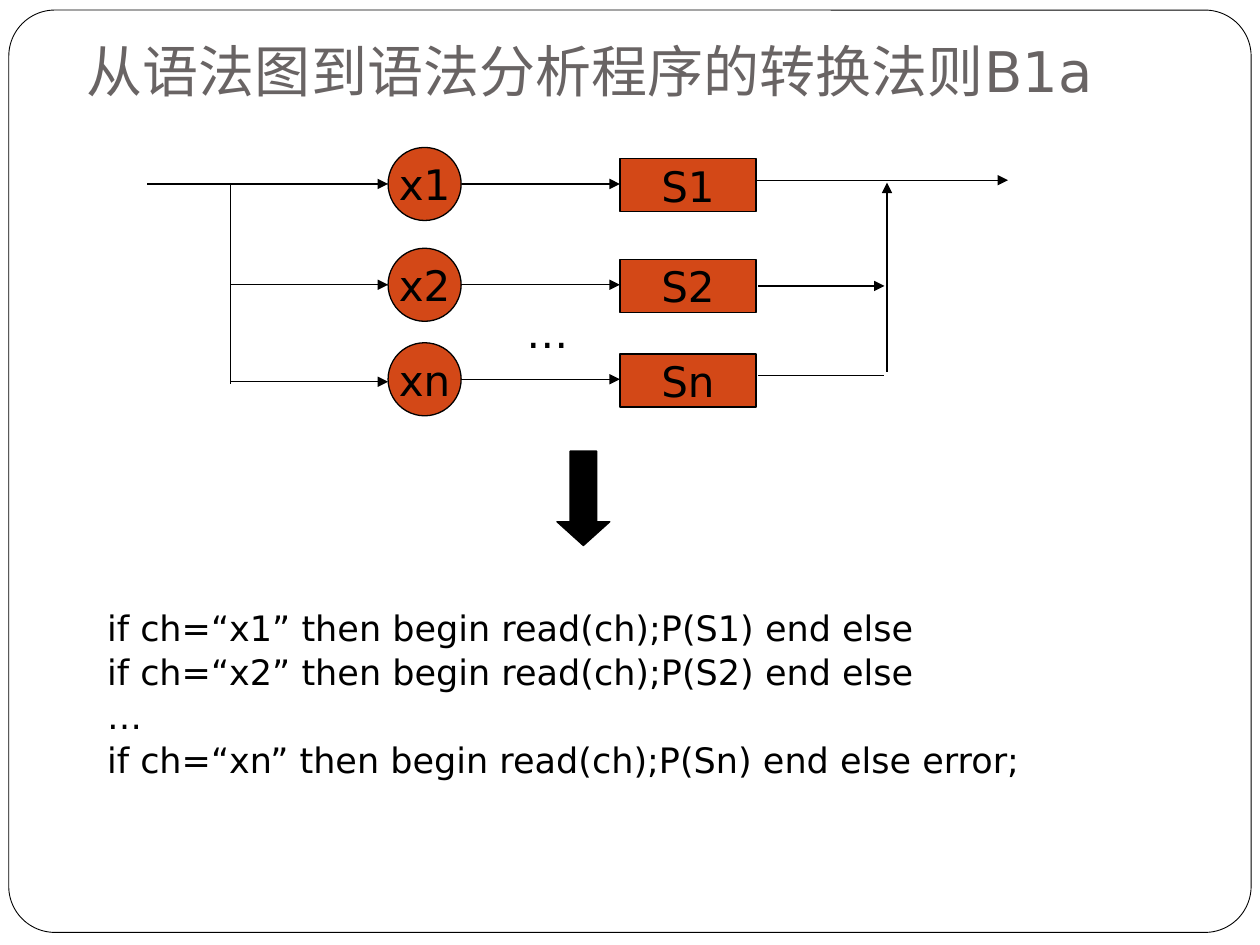
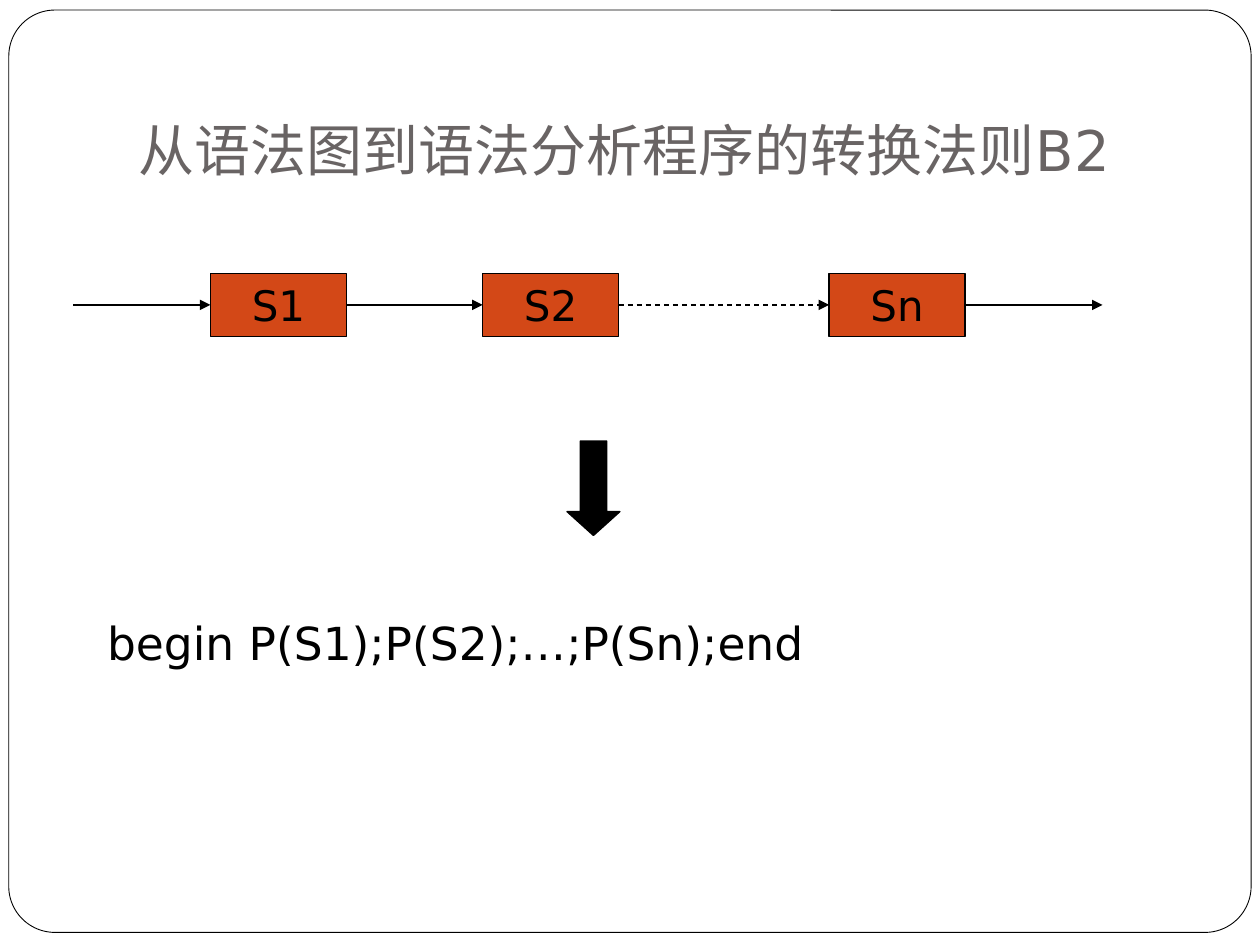
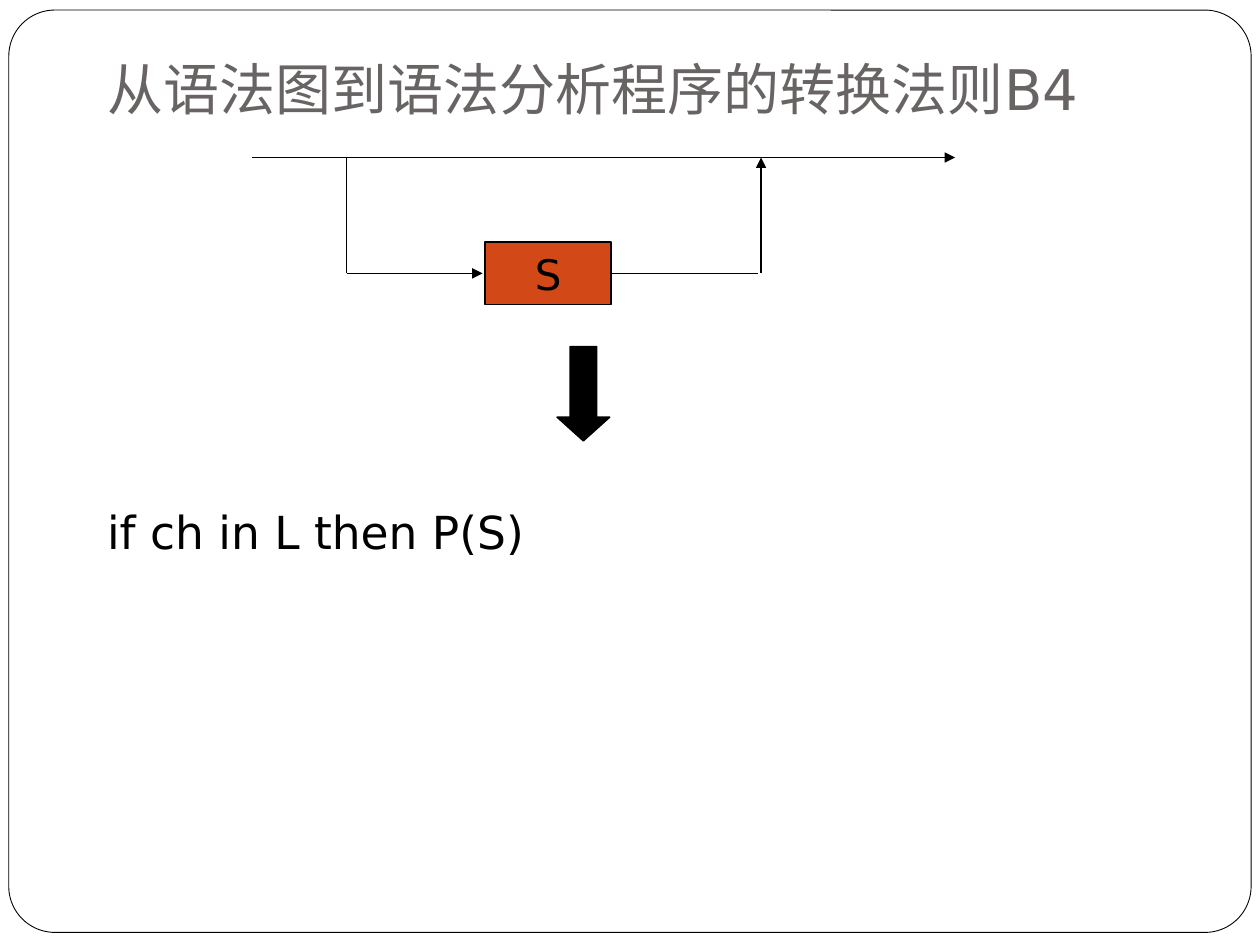
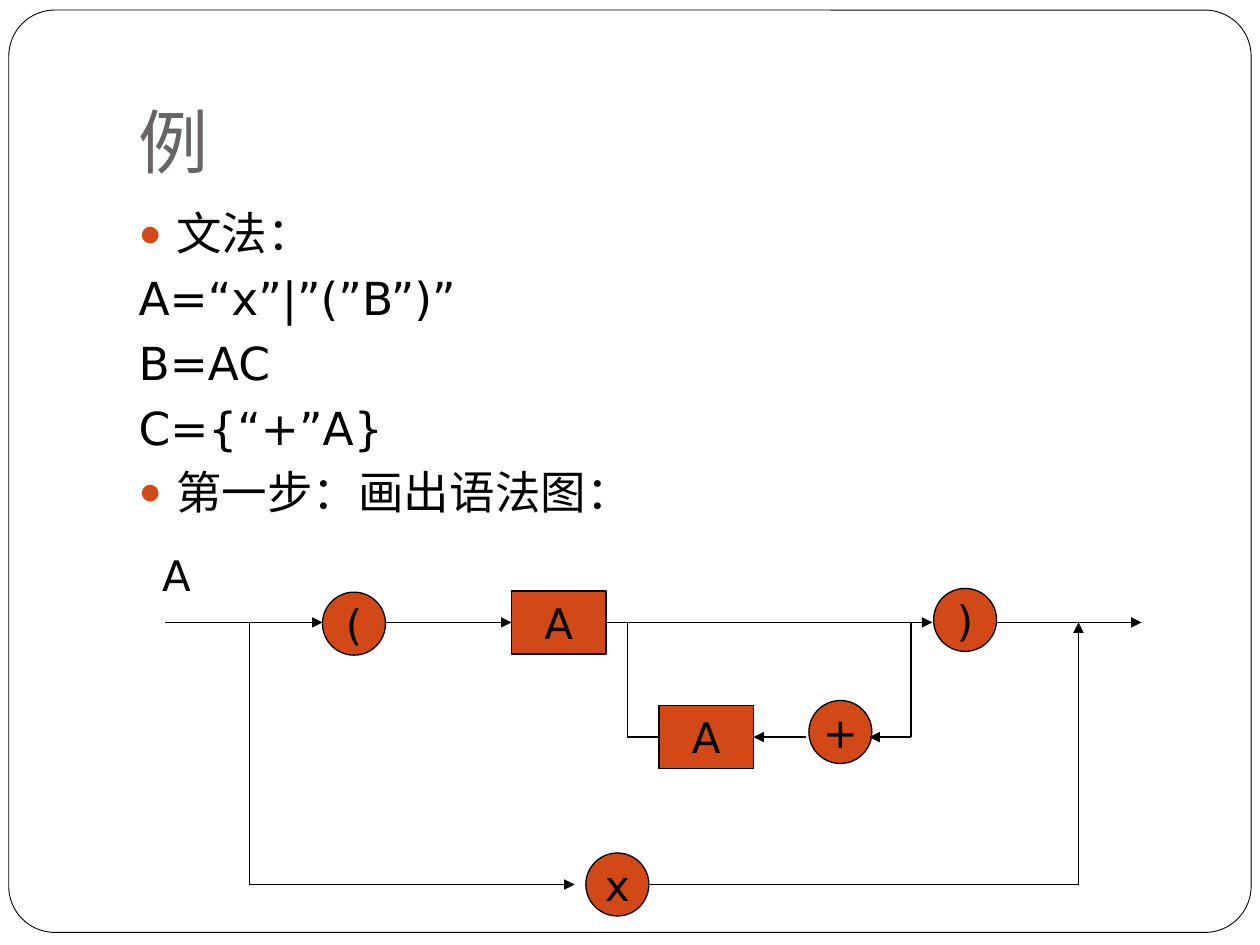
from lxml.etree import SubElement
from pptx import Presentation
from pptx.dml.color import RGBColor
from pptx.enum.dml import MSO_LINE
from pptx.enum.shapes import MSO_CONNECTOR as Connector, MSO_SHAPE as Shape
from pptx.enum.text import MSO_ANCHOR as Anchor, MSO_AUTO_SIZE as AutoSize, PP_ALIGN as Align
from pptx.oxml.ns import qn
from pptx.util import Emu, Pt

SCALE = 9144
COLORS = {"paper": "FFFFFF", "ink": "000000", "title": "696464", "accent": "D34817"}
LATIN_FONT = "DejaVu Sans"
CHINESE_FONT = "Noto Sans CJK SC"
RULE_TITLE = "从语法图到语法分析程序的转换法则"
BULLET = "●"


def px(*lengths):
    return [Emu(length * SCALE) for length in lengths]


def rgb(name):
    return RGBColor.from_string(COLORS[name])


def apply(target, **values):
    for name, value in values.items():
        setattr(target, name, value)


class Deck:
    def __init__(self):
        self.presentation = Presentation()
        width, height = px(1000, 750)
        apply(self.presentation, slide_width=width, slide_height=height)
        self.layout = self.presentation.slide_layouts[1]
        self.slide = None
        self.framed = False

    def new_slide(self, title, box, size=32, font=LATIN_FONT):
        self.slide = self.presentation.slides.add_slide(self.layout)
        if not self.framed:
            self.add_frame()
        placeholder = self.slide.shapes.title
        self.place(placeholder, box)
        frame = placeholder.text_frame
        apply(frame, auto_size=AutoSize.NONE, vertical_anchor=Anchor.BOTTOM,
              margin_bottom=px(10)[0])
        paragraph = frame.paragraphs[0]
        paragraph.alignment = Align.LEFT
        self.add_text(paragraph, title, size, "title", font)

    def add_frame(self):
        frame = self.shape(Shape.ROUNDED_RECTANGLE, (7, 8, 986, 732), "paper", 0.5)
        frame.adjustments[0] = 0.05
        self.layout.placeholders[0]._element.addprevious(frame._element)
        self.framed = True

    def place(self, shape, box):
        apply(shape, **dict(zip(("left", "top", "width", "height"), px(*box))))

    def add_text(self, paragraph, text, size, color="ink", font=LATIN_FONT):
        run = paragraph.add_run()
        run.text = text
        apply(run.font, name=font, size=Pt(size), bold=False)
        run.font.color.rgb = rgb(color)
        SubElement(run.font._element, qn("a:ea"), typeface=CHINESE_FONT)

    def body(self, lines, box, size=26, line_spacing=1.0):
        placeholder = self.slide.placeholders[1]
        self.place(placeholder, box)
        frame = placeholder.text_frame
        apply(frame, auto_size=AutoSize.NONE, vertical_anchor=Anchor.TOP)
        for index, line in enumerate(lines):
            paragraph = frame.add_paragraph() if index else frame.paragraphs[0]
            apply(paragraph, line_spacing=line_spacing, space_before=Pt(5.8 if index else 0))
            self.bullet(paragraph, line.startswith(BULLET))
            self.add_text(paragraph, line.removeprefix(BULLET), size)

    def bullet(self, paragraph, visible):
        properties = paragraph._p.get_or_add_pPr()
        indent = px(30)[0]
        properties.set("marL", str(indent))
        properties.set("indent", str(-indent))
        if visible:
            color = SubElement(properties, qn("a:buClr"))
            SubElement(color, qn("a:srgbClr"), val=COLORS["accent"])
            SubElement(properties, qn("a:buSzPct"), val="85000")
            SubElement(properties, qn("a:buChar"), char=BULLET)
        else:
            SubElement(properties, qn("a:buNone"))

    def shape(self, kind, box, fill, line_width=0.75):
        shape = self.slide.shapes.add_shape(kind, *px(*box))
        shape.shadow.inherit = False
        shape.fill.solid()
        shape.fill.fore_color.rgb = rgb(fill)
        shape.line.color.rgb = rgb("ink")
        shape.line.width = Pt(line_width)
        return shape

    def caption(self, shape, text):
        frame = shape.text_frame
        apply(frame, word_wrap=False, vertical_anchor=Anchor.MIDDLE)
        paragraph = frame.paragraphs[0]
        paragraph.alignment = Align.CENTER
        self.add_text(paragraph, text, 24)

    def label(self, text, box):
        self.caption(self.slide.shapes.add_textbox(*px(*box)), text)

    def rule(self, text, box):
        self.caption(self.shape(Shape.RECTANGLE, box, "accent"), text)

    def symbol(self, text, left, top, size=50):
        self.caption(self.shape(Shape.OVAL, (left, top, size, size), "accent"), text)

    def down_arrow(self, left, top):
        arrow = self.shape(Shape.DOWN_ARROW, (left, top, 42, 75), "ink")
        arrow.adjustments[0] = 0.5
        arrow.adjustments[1] = 0.45

    def line(self, x1, y1, x2, y2, head=False, dashed=False):
        connector = self.slide.shapes.add_connector(Connector.STRAIGHT, *px(x1, y1, x2, y2))
        connector.line.color.rgb = rgb("ink")
        connector.line.width = Pt(0.75)
        if dashed:
            connector.line.dash_style = MSO_LINE.DASH
        properties = connector._element.spPr
        if head:
            SubElement(properties.find(qn("a:ln")), qn("a:tailEnd"), type="triangle")
        SubElement(properties, qn("a:effectLst"))

    def arrow(self, x1, y1, x2, y2, dashed=False):
        self.line(x1, y1, x2, y2, True, dashed)


def choice_slide(deck):
    deck.new_slide(RULE_TITLE + "B1a", (59, 21, 846, 71))
    deck.body([
        "if ch=“x1” then begin read(ch);P(S1) end else",
        "if ch=“x2” then begin read(ch);P(S2) end else",
        "…",
        "if ch=“xn” then begin read(ch);P(Sn) end else error;",
    ], (75, 483, 850, 169), 20, 0.8)
    branches = [("1", 146, 117, 146), ("2", 226, 183, 226), ("n", 301, 183, 303)]
    for suffix, middle, entry_x, entry_y in branches:
        deck.arrow(entry_x, entry_y, 308, entry_y)
        deck.symbol("x" + suffix, 308, middle - 29, 58)
        deck.arrow(367, middle, 492, middle)
        deck.rule("S" + suffix, (492, middle - 20, 108, 42))
    deck.line(183, 146, 183, 305)
    deck.arrow(600, 143, 800, 143)
    deck.arrow(602, 227, 702, 227)
    deck.line(602, 298, 702, 298)
    deck.arrow(704, 295, 704, 145)
    deck.label("…", (408, 238, 33, 50))
    deck.down_arrow(442, 358)


def sequence_slide(deck):
    deck.new_slide(RULE_TITLE + "B2", (100, 30, 850, 125))
    deck.body(["begin P(S1);P(S2);…;P(Sn);end"], (75, 483, 850, 85))
    middle, width, start = 242, 108, 58
    for text, left in (("S1", 167), ("S2", 383), ("Sn", 658)):
        deck.arrow(start, middle, left, middle, dashed=text == "Sn")
        deck.rule(text, (left, middle - 25, width, 50))
        start = left + width
    deck.arrow(start, middle, 875, middle)
    deck.down_arrow(450, 350)


def option_slide(deck):
    deck.new_slide(RULE_TITLE + "B4", (75, 28, 850, 79))
    deck.body(["if ch in L then P(S)"], (75, 400, 850, 58), line_spacing=0.9)
    main_y, branch_y = 125, 217
    deck.arrow(200, main_y, 758, main_y)
    deck.line(275, main_y, 275, branch_y)
    deck.arrow(275, branch_y, 383, branch_y)
    deck.rule("S", (385, branch_y - 25, 100, 50))
    deck.line(486, branch_y, 602, branch_y)
    deck.arrow(604, branch_y, 604, main_y)
    deck.down_arrow(442, 275)


def example_slide(deck):
    deck.new_slide("例", (100, 30, 850, 125), 40, CHINESE_FONT)
    deck.body([
        BULLET + "文法：",
        "A=“x”|”(”B”)”",
        "B=AC",
        "C={“+”A}",
        BULLET + "第一步：画出语法图：",
    ], (100, 158, 850, 500))
    main_y, loop_y, bypass_y = 494, 585, 702
    for start, end in ((131, 256), (306, 406), (481, 740), (790, 906)):
        deck.arrow(start, main_y, end, main_y)
    deck.line(723, main_y, 723, loop_y)
    deck.arrow(640, loop_y, 598, loop_y)
    deck.line(523, loop_y, 498, loop_y)
    deck.line(498, loop_y, 498, main_y)
    deck.line(198, main_y, 198, bypass_y)
    deck.arrow(198, bypass_y, 456, bypass_y)
    deck.line(515, bypass_y, 856, bypass_y)
    deck.arrow(856, bypass_y, 856, main_y)
    for text, left, top in (("(", 256, 470), (")", 741, 467), ("+", 642, 556), ("x", 465, 677)):
        deck.symbol(text, left, top)
    deck.arrow(723, loop_y, 690, loop_y)
    for left, middle in ((406, main_y), (523, loop_y)):
        deck.rule("A", (left, middle - 25, 75, 50))
    deck.label("A", (90, 435, 100, 42))


def main():
    deck = Deck()
    for build in (choice_slide, sequence_slide, option_slide, example_slide):
        build(deck)
    deck.presentation.save("out.pptx")


if __name__ == "__main__":
    main()
